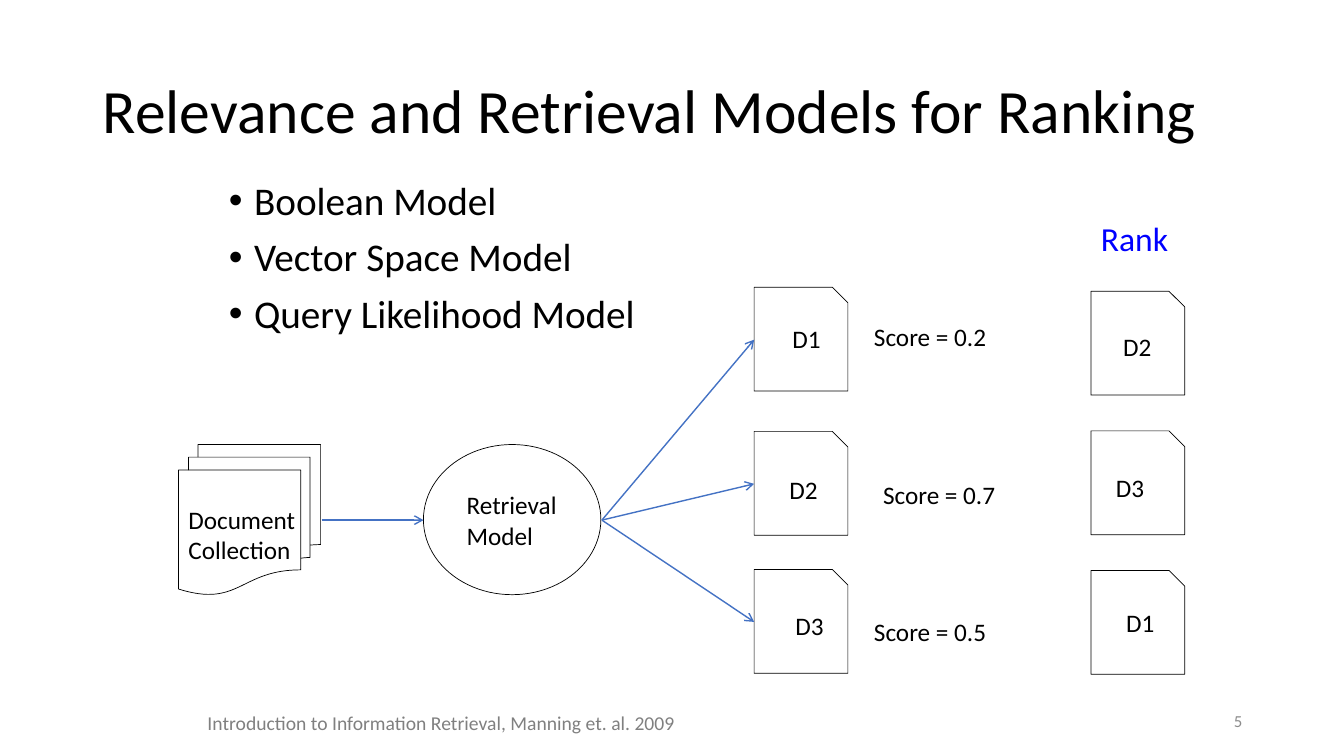
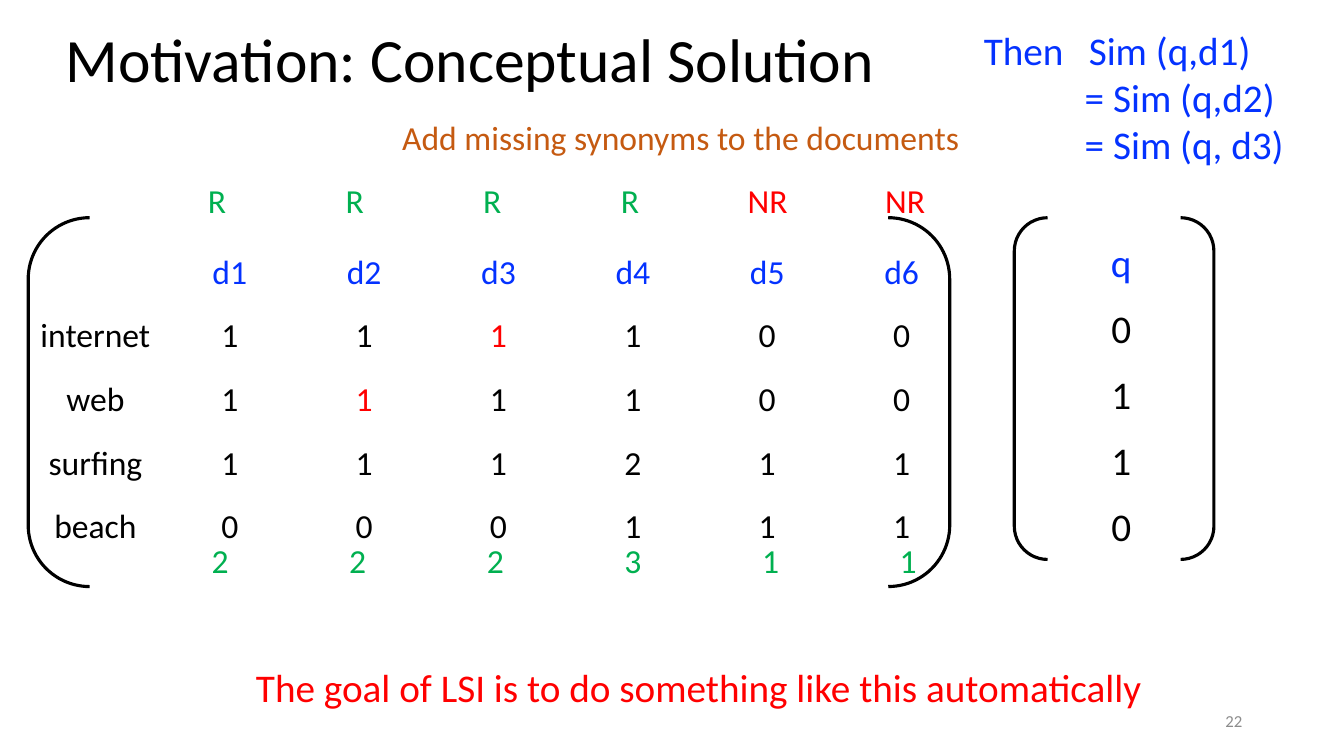
"""Build two lecture slides on retrieval models and latent semantic indexing."""
import dataclasses

import lxml.etree
import pptx
import pptx.dml.color
import pptx.enum.shapes
import pptx.enum.text
import pptx.oxml.ns
import pptx.util

Inches = pptx.util.Inches
SHAPE = pptx.enum.shapes.MSO_SHAPE
ALIGN = pptx.enum.text.PP_ALIGN
MIDDLE = pptx.enum.text.MSO_ANCHOR.MIDDLE
NO_STYLE = "{2D5ABB26-0587-4C30-8999-92F81FD0307C}"


@dataclasses.dataclass(frozen=True)
class Theme:
    """Colours, font and type sizes shared by the slides."""
    font: str = "Calibri"
    black: str = "000000"
    grey: str = "808080"
    number_grey: str = "8C8C8C"
    arrow: str = "4472C4"
    rank_blue: str = "0000FF"
    blue: str = "0432FF"
    red: str = "FF0000"
    green: str = "00B050"
    orange: str = "C55A11"
    title: int = 44
    large: int = 28
    medium: int = 24
    label: int = 18
    footer: int = 14
    number: int = 12


T = Theme()


def rgb(color):
    """Return a colour object for a hex string."""
    return pptx.dml.color.RGBColor.from_string(color)


def box(x, y, w, h):
    """Convert a box in inches to lengths."""
    return Inches(x), Inches(y), Inches(w), Inches(h)


def style(p, size, color, align=ALIGN.LEFT):
    """Format one paragraph."""
    p.alignment = align
    p.font.name = T.font
    p.font.size = pptx.util.Pt(size)
    p.font.bold = False
    p.font.color.rgb = rgb(color)


def indent(p, left, first):
    """Set the left margin and first-line indent of a paragraph."""
    pPr = p._p.get_or_add_pPr()
    pPr.set("marL", str(Inches(left)))
    pPr.set("indent", str(Inches(first)))


def fill_placeholder(sp, at, lines, size):
    """Move a placeholder and set its formatted lines."""
    sp.left, sp.top, sp.width, sp.height = box(*at)
    tf = sp.text_frame
    tf.auto_size = pptx.enum.text.MSO_AUTO_SIZE.NONE
    tf.text = "\n".join(lines)
    for p in tf.paragraphs:
        style(p, size, T.black)
        p.line_spacing = 0.9
    return tf


def add_text(s, at, text, size=T.label, color=T.black, wrap=False):
    """Add a text box and return its text frame."""
    tf = s.shapes.add_textbox(*box(*at)).text_frame
    tf.word_wrap = wrap
    tf.text = text
    for p in tf.paragraphs:
        style(p, size, color)
    return tf


def add_outline(s, kind, at, width=0.5):
    """Add an unfilled shape with a black outline."""
    sp = s.shapes.add_shape(kind, *box(*at))
    sp.shadow.inherit = False
    sp.fill.background()
    sp.line.color.rgb = rgb(T.black)
    sp.line.width = pptx.util.Pt(width)


def add_arrow(s, start, end):
    """Add a straight arrow between two points."""
    c = s.shapes.add_connector(pptx.enum.shapes.MSO_CONNECTOR.STRAIGHT,
                               *map(Inches, start + end))
    c.line.color.rgb = rgb(T.arrow)
    c.line.width = pptx.util.Pt(1)
    qn = pptx.oxml.ns.qn
    lxml.etree.SubElement(c.line._get_or_add_ln(), qn("a:tailEnd"), type="arrow")
    lxml.etree.SubElement(c._element.spPr, qn("a:effectLst"))


def add_grid(s, at, rows, size, color_of):
    """Add a plain centred table, coloured by color_of(row, column)."""
    table = s.shapes.add_table(len(rows), len(rows[0]), *box(*at)).table
    table.first_row = table.horz_banding = False
    for style_id in table._tbl.iter(pptx.oxml.ns.qn("a:tableStyleId")):
        style_id.text = NO_STYLE
    for i, row in enumerate(rows):
        table.rows[i].height = Inches(at[3] / len(rows))
        for j, text in enumerate(row):
            cell = table.cell(i, j)
            cell.fill.background()
            cell.vertical_anchor = MIDDLE
            cell.text = text
            style(cell.text_frame.paragraphs[0], size, color_of(i, j), ALIGN.CENTER)


def add_slide(prs, layout, title, title_box, number):
    """Add a slide with its title and number."""
    s = prs.slides.add_slide(prs.slide_layouts[layout])
    tf = fill_placeholder(s.shapes.title, title_box, [title], T.title)
    tf.vertical_anchor = MIDDLE
    tf = add_text(s, (9.42, 6.95, 3, 0.4), number, T.number, T.number_grey, True)
    tf.vertical_anchor = MIDDLE
    tf.paragraphs[0].alignment = ALIGN.RIGHT
    return s


def add_document(s, x, y, name, dx, dy):
    """Add a document sheet with its name offset inside it."""
    add_outline(s, SHAPE.SNIP_1_RECTANGLE, (x, y, 0.93, 1.03))
    add_text(s, (x + dx, y + dy, 0.49, 0.4), name)


def add_retrieval(s, x, y):
    """Add the collection feeding the retrieval model and return its exit point."""
    mid = y + 0.75
    add_outline(s, SHAPE.FLOWCHART_MULTIDOCUMENT, (x, y, 1.41, 1.49))
    add_outline(s, SHAPE.OVAL, (x + 2.43, y, 1.76, 1.49))
    add_arrow(s, (x + 1.42, mid), (x + 2.43, mid))
    add_text(s, (x, y + 0.54, 1.27, 0.71), "Document\nCollection")
    add_text(s, (x + 2.76, y + 0.4, 1.16, 0.71), "Retrieval\nModel")
    return x + 4.2, mid


def add_scores(s, x, origin):
    """Add the scored documents, each reached by an arrow from origin."""
    for y, name, dx, dy, score, score_dx, score_dy in (
            (2.85, "D1", 0.28, 0.31, "0.2", 1.09, 0.29),
            (4.28, "D2", 0.25, 0.38, "0.7", 1.18, 0.43),
            (5.65, "D3", 0.31, 0.36, "0.5", 1.09, 0.42)):
        add_document(s, x, y, name, dx, dy)
        add_arrow(s, origin, (x, y + 0.52))
        add_text(s, (x + score_dx, y + score_dy, 1.33, 0.4), f"Score = {score}")


def add_ranking(s, x, y):
    """Add the ranked documents below their heading."""
    add_text(s, (x, y, 0.88, 0.5), "Rank", T.medium, T.rank_blue)
    for i, (name, dx, dy) in enumerate(
            (("D2", 0.22, 0.35), ("D3", 0.15, 0.36), ("D1", 0.25, 0.32))):
        add_document(s, x, y + 0.78 + 1.385 * i, name, dx, dy)


def build_ranking_slide(prs):
    """Build the slide on models for ranking."""
    s = add_slide(prs, 1, "Relevance and Retrieval Models for Ranking",
                  (0.92, 0.4, 11.5, 1.45), "5")
    models = ["Boolean Model", "Vector Space Model", "Query Likelihood Model"]
    tf = fill_placeholder(s.placeholders[1], (2.17, 1.75, 5.32, 1.97), models, T.large)
    for p in tf.paragraphs:
        p.space_before = pptx.util.Pt(10)
        indent(p, 0.25, -0.25)
    add_scores(s, 7.48, add_retrieval(s, 1.77, 4.41))
    add_ranking(s, 10.82, 2.11)
    add_text(s, (1.96, 7, 4.94, 0.34),
             "Introduction to Information Retrieval, Manning et. al. 2009",
             T.footer, T.grey)


def add_term_matrix(s, x, y):
    """Add the bracketed term matrix with relevance marks and match counts."""
    rows = [["", "d1", "d2", "d3", "d4", "d5", "d6"],
            ["internet", *"111100"],
            ["web", *"111100"],
            ["surfing", *"111211"],
            ["beach", *"000111"]]
    synonyms = {(1, 3), (2, 2)}

    def color_of(i, j):
        """Colour headings blue and added synonyms red."""
        return T.blue if i == 0 else T.red if (i, j) in synonyms else T.black

    add_grid(s, (x, y + 0.23, 9.33, 3.16), rows, T.medium, color_of)
    add_outline(s, SHAPE.DOUBLE_BRACKET, (x, y, 9.14, 3.66), 2.25)
    add_grid(s, (x + 1.22, y + 3.16, 8.19, 0.5), ["222311"], T.medium,
             lambda i, j: T.green)
    add_grid(s, (x + 1.19, y - 0.41, 8.19, 0.5), [["R"] * 4 + ["NR"] * 2], T.medium,
             lambda i, j: T.green if j < 4 else T.red)


def add_query_vector(s, x, y):
    """Add the bracketed query vector."""
    add_grid(s, (x - 0.24, y + 0.13, 2.6, 3.28), "q0110", T.large,
             lambda i, j: T.black if i else T.blue)
    add_outline(s, SHAPE.DOUBLE_BRACKET, (x, y, 1.98, 3.39), 2.25)


def build_solution_slide(prs):
    """Build the slide on the conceptual solution."""
    s = add_slide(prs, 5, "Motivation: Conceptual Solution",
                  (0.55, 0.21, 11.5, 0.83), "22")
    add_term_matrix(s, 0.28, 2.16)
    add_query_vector(s, 10.06, 2.16)
    add_text(s, (3.89, 1.11, 5.77, 0.5), "Add missing synonyms to the documents",
             T.medium, T.orange)
    tf = add_text(s, (9.66, 0.21, 3.21, 1.51),
                  "Then\tSim (q,d1)\n= Sim (q,d2)\n= Sim (q, d3)", T.large, T.blue)
    for p, left, first in zip(tf.paragraphs, (1.04, 1, 1), (-1.04, 0, 0)):
        indent(p, left, first)
    add_text(s, (2.44, 6.53, 9.08, 0.57),
             "The goal of LSI is to do something like this automatically",
             T.large, T.red)


def main():
    """Build and save the presentation."""
    prs = pptx.Presentation()
    prs.slide_width, prs.slide_height = Inches(13.33), Inches(7.5)
    build_ranking_slide(prs)
    build_solution_slide(prs)
    prs.save("out.pptx")


if __name__ == "__main__":
    main()
